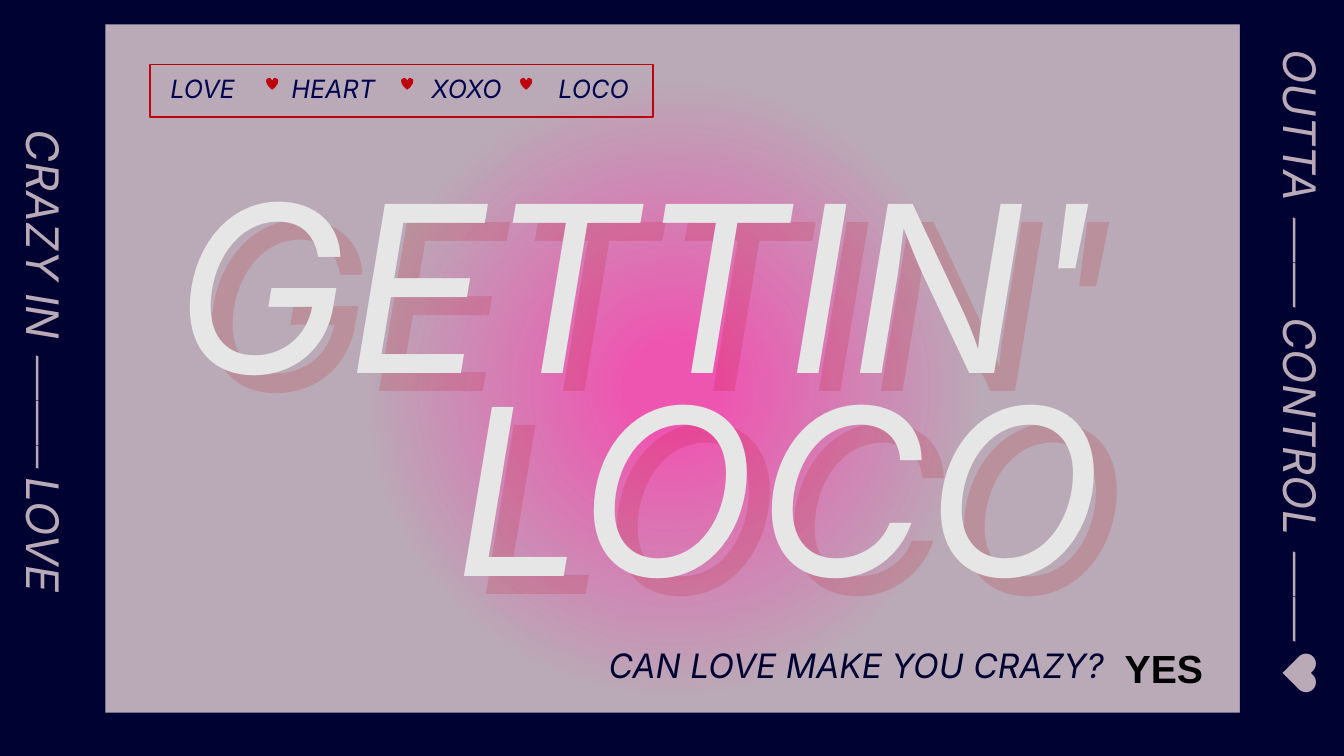
from dataclasses import dataclass

from lxml import etree
from pptx import Presentation
from pptx.dml.color import RGBColor
from pptx.enum.shapes import MSO_SHAPE
from pptx.enum.text import MSO_ANCHOR, PP_ALIGN
from pptx.oxml.ns import qn
from pptx.util import Inches, Pt

RECT, OVAL, HEART = MSO_SHAPE.RECTANGLE, MSO_SHAPE.OVAL, MSO_SHAPE.HEART
LEFT, MID, RIGHT = PP_ALIGN.LEFT, PP_ALIGN.CENTER, PP_ALIGN.RIGHT
TOP, CENTER, BASE = MSO_ANCHOR.TOP, MSO_ANCHOR.MIDDLE, MSO_ANCHOR.BOTTOM
COLS, ROWS = 160, 90


@dataclass(frozen=True)
class Theme:
    mauve: str = "BAAAB7"
    navy: str = "000232"
    ink: str = "000450"
    red: str = "BD020D"
    pink: str = "FF3CAF"
    pale: str = "E7E6E6"
    black: str = "000000"
    face: str = "Inter"
    plain: str = "Arial"
    huge: int = 166
    side: int = 32
    reply: int = 28
    ask: int = 24
    tag: int = 18


THEME = Theme()


def cell(count):
    """Length of a number of grid cells, twelve to the inch."""
    return Inches(count / 12)


def rgb(code):
    return RGBColor.from_string(code)


def apply(item, values):
    for name, value in values.items():
        setattr(item, name, value)


def node(parent, tag, **values):
    return etree.SubElement(parent, qn(tag), values)


def draw(slide, kind, box, fill=None, line=None):
    shape = slide.shapes.add_shape(kind, *map(cell, box))
    shape.shadow.inherit = False
    if fill:
        shape.fill.solid()
        shape.fill.fore_color.rgb = rgb(fill)
    else:
        shape.fill.background()
    if line:
        shape.line.color.rgb = rgb(line)
        shape.line.width = Pt(1.25)
    else:
        shape.line.fill.background()
    return shape


def write(shape, text, size, color, align=MID, anchor=CENTER, space=0.9,
          pads=None, alpha=None, **style):
    """Fill a shape with one line of text; pads are margins in inches."""
    frame = shape.text_frame
    apply(frame, {"word_wrap": True, "vertical_anchor": anchor})
    apply(frame, {f"margin_{edge}": Inches(pad) for edge, pad in (pads or {}).items()})
    para = frame.paragraphs[0]
    apply(para, {"alignment": align, "line_spacing": space})
    run = para.add_run()
    run.text = text
    form = {"name": THEME.face, "size": Pt(size), "italic": True, "bold": False}
    apply(run.font, form | style)
    run.font.color.rgb = rgb(color)
    if alpha:
        tint = run.font.fill._xPr.find(qn("a:solidFill"))[0]
        node(tint, "a:alpha", val=str(alpha * 1000))
    return para


def label(slide, box, *args, **style):
    area = slide.shapes.add_textbox(*map(cell, box))
    return write(area, *args, **style)


def glow(slide):
    """Round pink light that fades out towards its rim."""
    shape = draw(slide, OVAL, (40.92, 7.08, 78.24, 78.24))
    blank = shape._element.spPr.find(qn("a:noFill"))
    grad = etree.Element(qn("a:gradFill"), rotWithShape="1")
    stops = node(grad, "a:gsLst")
    for place, alpha in ((11, 75), (66, 0)):
        stop = node(stops, "a:gs", pos=str(place * 1000))
        tint = node(stop, "a:srgbClr", val=THEME.pink)
        node(tint, "a:alpha", val=str(alpha * 1000))
    way = node(grad, "a:path", path="circle")
    node(way, "a:fillToRect", **dict.fromkeys("ltrb", "50000"))
    blank.getparent().replace(blank, grad)


def title(slide):
    left, wide, high, drop = 18.6, 114, 31.44, 2.16
    words = (("GETTIN'", 19.56, 1.56, MID), ("LOCO", 43.8, 2.64, RIGHT))
    for text, top, shift, _ in words:
        label(slide, (left + shift, top + drop, wide, high), text, THEME.huge,
              THEME.red, align=RIGHT, anchor=BASE, alpha=15)
    for text, top, _, align in words:
        label(slide, (left, top, wide, high), text, THEME.huge, THEME.pale,
              align=align, anchor=BASE)


def tags(slide):
    frame = draw(slide, RECT, (17.88, 7.68, 59.88, 6.24), line=THEME.red)
    para = write(frame, "LOVE\tHEART\tXOXO\tLOCO", THEME.tag, THEME.ink,
                 align=LEFT, pads={"left": 0.2})
    stops = node(para._p.get_or_add_pPr(), "a:tabLst")
    for place in (1.2, 2.59, 3.85):
        node(stops, "a:tab", pos=str(Inches(place)), algn="l")
    for left in (31.68, 47.76, 61.92):
        draw(slide, HEART, (left, 9.24, 1.44, 1.44), fill=THEME.red)


def side(slide, left, wide, text, pads):
    """Full-height band whose text reads downwards."""
    box = (left + (wide - ROWS) / 2, (ROWS - wide) / 2, ROWS, wide)
    band = draw(slide, RECT, box, fill=THEME.navy)
    band.rotation = 90
    return write(band, text, THEME.side, THEME.mauve, pads=pads)


def border(slide):
    side(slide, 0, 12.54, "CRAZY IN ⎯⎯⎯⎯⎯ LOVE ", {"top": 0.28, "right": 0.31})
    para = side(slide, 147.6, 12.4, "OUTTA ⎯⎯⎯⎯ CONTROL ⎯⎯⎯⎯ ",
                {"bottom": 0.17, "right": 0.2})
    heart = para.add_run()
    heart.text = "♥"
    apply(heart.font, {"name": THEME.face, "size": Pt(THEME.side), "italic": False})
    heart.font.color.rgb = rgb(THEME.mauve)
    for top, high in ((0, 2.92), (84.84, 5.16)):
        draw(slide, RECT, (0, top, COLS, high), fill=THEME.navy)


def main():
    deck = Presentation()
    apply(deck, {"slide_width": cell(COLS), "slide_height": cell(ROWS)})
    slide = deck.slides.add_slide(deck.slide_layouts[6])
    back = slide.background.fill
    back.solid()
    back.fore_color.rgb = rgb(THEME.mauve)
    glow(slide)
    title(slide)
    label(slide, (18.6, 76.68, 114, 5.52), "CAN LOVE MAKE YOU CRAZY?",
          THEME.ask, THEME.navy, align=RIGHT, anchor=TOP)
    tags(slide)
    border(slide)
    label(slide, (132.72, 76.08, 14, 6.84), "YES", THEME.reply, THEME.black,
          align=LEFT, anchor=TOP, space=1.0, name=THEME.plain,
          italic=False, bold=True)
    deck.save("out.pptx")


if __name__ == "__main__":
    main()
